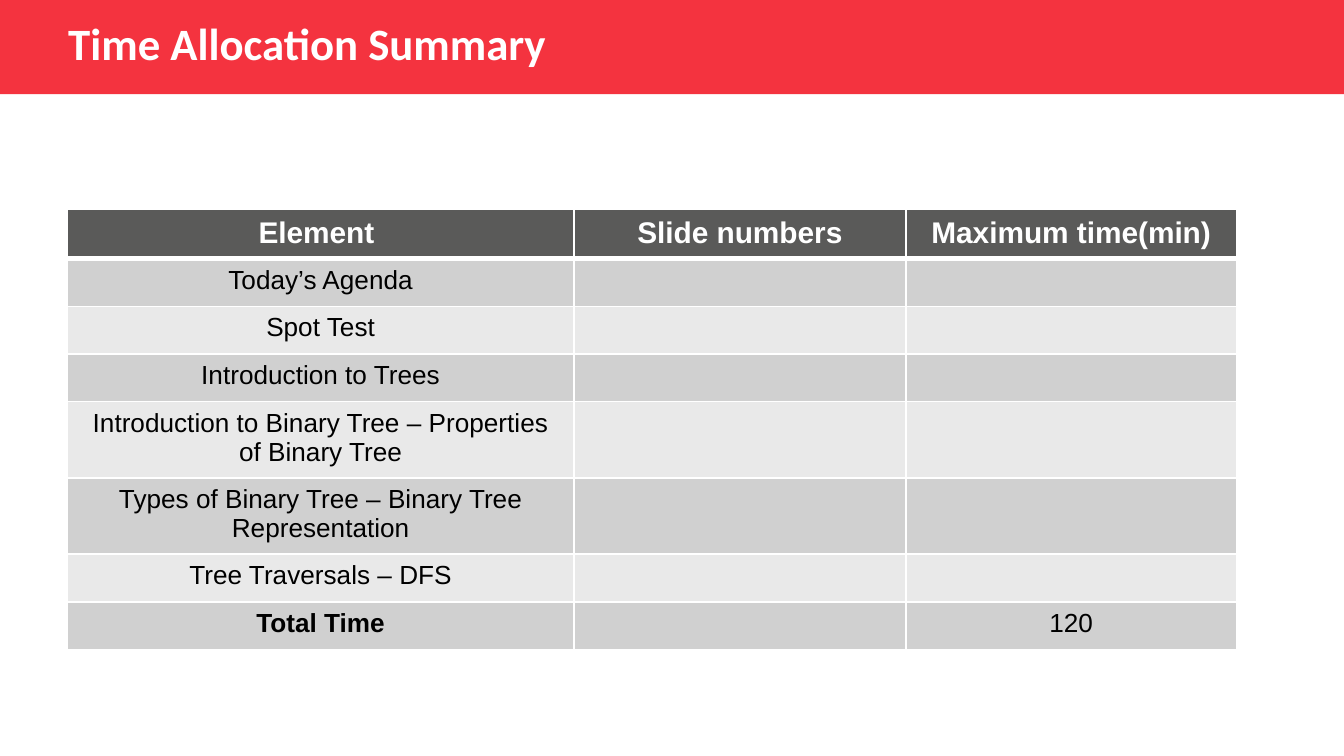
from dataclasses import dataclass

from pptx import Presentation
from pptx.dml.color import RGBColor
from pptx.enum.shapes import MSO_SHAPE
from pptx.enum.text import MSO_ANCHOR, PP_ALIGN
from pptx.oxml.ns import qn
from pptx.slide import Slide
from pptx.table import _Cell
from pptx.text.text import Font
from pptx.util import Cm, Pt
from lxml import etree

RECTANGLE = MSO_SHAPE.RECTANGLE
MIDDLE = MSO_ANCHOR.MIDDLE
CENTER = PP_ALIGN.CENTER

COLORS = {
    "banner": "F4333F",
    "header": "5A5A59",
    "odd": "D0D0D0",
    "even": "E9E9E9",
    "light": "FFFFFF",
    "dark": "000000",
}
COLUMN_WIDTHS = (9.58, 6.27, 6.25)
ROW_HEIGHT = 0.9


@dataclass(frozen=True)
class Row:
    element: str
    slides: str = ""
    minutes: str = ""
    bold_element: bool = False


HEADER = Row("Element ", "Slide numbers", "Maximum time(min)")
ROWS = (
    HEADER,
    Row("Today’s Agenda"),
    Row("Spot Test"),
    Row("Introduction to Trees"),
    Row("Introduction to Binary Tree – Properties of Binary Tree"),
    Row("Types of Binary Tree – Binary Tree Representation"),
    Row("Tree Traversals – DFS"),
    Row("Total Time", minutes="120", bold_element=True),
)


def color(name: str) -> RGBColor:
    """Return the named palette colour."""
    return RGBColor.from_string(COLORS[name])


def set_font(font: Font, name: str, size: int, shade: str, bold: bool) -> None:
    """Set the typeface, size, colour and weight of a font."""
    font.name = name
    font.size = Pt(size)
    font.bold = bold
    font.color.rgb = color(shade)


def add_banner(slide: Slide, text: str) -> None:
    """Draw the coloured banner with the slide title."""
    banner = slide.shapes.add_shape(RECTANGLE, 0, 0, Cm(25.4), Cm(1.78))
    banner.shadow.inherit = False
    banner.fill.solid()
    banner.fill.fore_color.rgb = color("banner")
    banner.line.fill.background()

    title = slide.shapes.add_textbox(Cm(1.04), Cm(-0.28), Cm(16.97), Cm(2.18))
    frame = title.text_frame
    frame.word_wrap = True
    frame.vertical_anchor = MIDDLE
    para = frame.paragraphs[0]
    para.text = text
    para.space_before = Pt(10)
    set_font(para.font, "Calibri", 24, "light", True)


def add_borders(cell: _Cell, top: int, bottom: int) -> None:
    """Outline a cell in white, with widths in points for top and bottom."""
    properties = cell._tc.get_or_add_tcPr()
    for side, width in (("L", 1), ("R", 1), ("T", top), ("B", bottom)):
        line = etree.SubElement(properties, qn(f"a:ln{side}"), w=str(Pt(width)))
        fill = etree.SubElement(line, qn("a:solidFill"))
        etree.SubElement(fill, qn("a:srgbClr"), val=COLORS["light"])


def fill_cell(cell: _Cell, text: str, row_number: int, bold: bool) -> None:
    """Write and style one table cell according to its row."""
    is_header = row_number == 0
    add_borders(cell, 3 if row_number == 1 else 1, 3 if is_header else 1)
    shade = "header" if is_header else ("even", "odd")[row_number % 2]
    cell.fill.solid()
    cell.fill.fore_color.rgb = color(shade)
    para = cell.text_frame.paragraphs[0]
    para.text = text
    para.alignment = CENTER
    set_font(para.font, "Arial", 16 if is_header else 14,
             "light" if is_header else "dark", is_header or bold)


def add_schedule(slide: Slide, rows: tuple[Row, ...]) -> None:
    """Draw the time allocation table."""
    frame = slide.shapes.add_table(
        len(rows), len(COLUMN_WIDTHS), Cm(1.27), Cm(3.96),
        Cm(sum(COLUMN_WIDTHS)), Cm(ROW_HEIGHT * len(rows)))
    table = frame.table
    table.horz_banding = False
    for column, width in zip(table.columns, COLUMN_WIDTHS):
        column.width = Cm(width)
    for row_number, row in enumerate(rows):
        table.rows[row_number].height = Cm(ROW_HEIGHT)
        for column_number, text in enumerate((row.element, row.slides, row.minutes)):
            bold = row.bold_element and column_number == 0
            fill_cell(table.cell(row_number, column_number), text, row_number, bold)


def main() -> None:
    """Build and save the deck."""
    deck = Presentation()
    deck.slide_width, deck.slide_height = Cm(25.4), Cm(14.29)
    page = deck.slides.add_slide(deck.slide_layouts[6])
    add_banner(page, "Time Allocation Summary")
    add_schedule(page, ROWS)
    deck.save("out.pptx")


if __name__ == "__main__":
    main()
